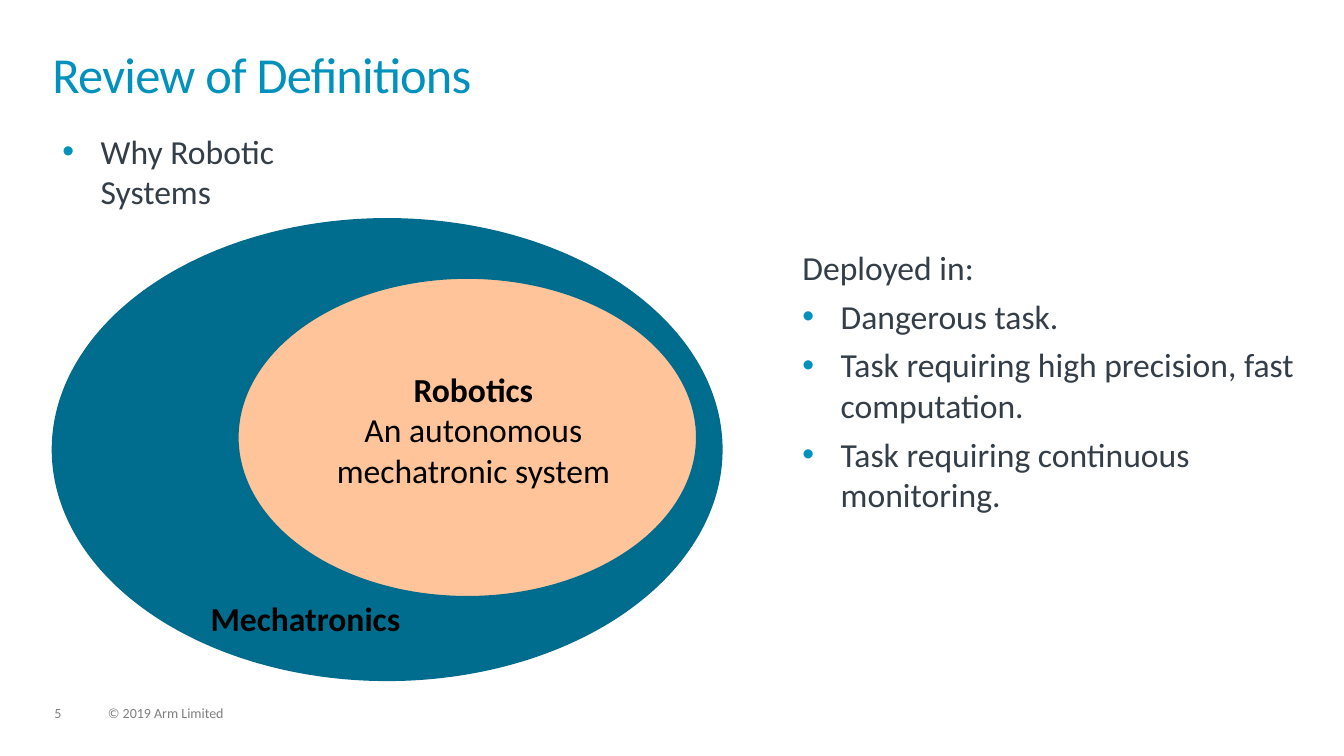
from lxml.etree import SubElement
from pptx import Presentation
from pptx.dml.color import RGBColor
from pptx.enum.shapes import MSO_SHAPE as Preset
from pptx.enum.text import MSO_ANCHOR as Anchor, PP_ALIGN as Align
from pptx.oxml.ns import qn
from pptx.util import Inches, Pt

COLORS = {
    "title": "0091BD", "body": "333E48", "footer": "7F7F7F", "label": "000000",
    "outer": "006D8E", "inner": "FFC499", "outline": "006B8C",
}


def color(name):
    return RGBColor.from_string(COLORS[name])


def add_bullet(paragraph):
    props = paragraph._p.get_or_add_pPr()
    props.set("marL", str(Inches(0.38)))
    props.set("indent", str(-Inches(0.38)))
    tint = SubElement(props, qn("a:buClr"))
    SubElement(tint, qn("a:srgbClr"), val=COLORS["title"])
    SubElement(props, qn("a:buFont"), typeface="Arial")
    SubElement(props, qn("a:buChar"), char="•")


def add_text(slide, box, lines, size, tone, inset=True, bullets_from=None,
             align=Align.LEFT, bold_first=False, before=0, spacing=None):
    frame = slide.shapes.add_textbox(*map(Inches, box)).text_frame
    frame.word_wrap = True
    frame.vertical_anchor = Anchor.TOP
    if not inset:
        frame.margin_left = frame.margin_right = 0
        frame.margin_top = frame.margin_bottom = 0
    frame.text = "\n".join(lines)
    for index, paragraph in enumerate(frame.paragraphs):
        if bullets_from is not None and index >= bullets_from:
            add_bullet(paragraph)
        paragraph.alignment = align
        if index and before:
            paragraph.space_before = Pt(before)
        if spacing:
            paragraph.line_spacing = spacing
        for run in paragraph.runs:
            run.font.name = "Calibri"
            run.font.size = Pt(size)
            run.font.bold = bold_first and index == 0
            run.font.color.rgb = color(tone)
    return frame


def add_ellipse(slide, box, fill):
    ellipse = slide.shapes.add_shape(Preset.OVAL, *map(Inches, box))
    ellipse.shadow.inherit = False
    ellipse.fill.solid()
    ellipse.fill.fore_color.rgb = color(fill)
    ellipse.line.color.rgb = color("outline")
    ellipse.line.width = Pt(1)


def add_footer(slide, left, top):
    for offset, width, text in ((0, 0.34, "5"), (0.53, 1.71, "© 2019 Arm Limited")):
        add_text(slide, (left + offset, top, width, 0.15), [text], 10, "footer",
                 inset=False, spacing=0.9)


def add_title(slide, box):
    title = add_text(slide, box, ["Review of Definitions"], 36, "title",
                     inset=False, spacing=0.85)
    title.paragraphs[0].runs[0].font._element.set("spc", "-50")


def add_venn(slide, left, top, width, height):
    add_ellipse(slide, (left, top, width, height), "outer")
    add_ellipse(slide, (left + 1.84, top + 0.59, 4.55, 3.16), "inner")
    add_text(slide, (left + 2.53, top + 1.44, 3.29, 1.31),
             ["Robotics", "An autonomous mechatronic system"], 24, "label",
             align=Align.CENTER, bold_first=True)
    add_text(slide, (left + 1.47, top + 3.71, 3.08, 0.5), ["Mechatronics"], 24,
             "label", bold_first=True)


def add_uses(slide, box):
    uses = [
        "Deployed in:",
        "Dangerous task.",
        "Task requiring high precision, fast computation.",
        "Task requiring continuous monitoring.",
    ]
    add_text(slide, box, uses, 24, "body", bullets_from=1, before=6)


def main():
    deck = Presentation()
    deck.slide_width, deck.slide_height = Inches(13.33), Inches(7.5)
    slide = deck.slides.add_slide(deck.slide_layouts[6])
    add_footer(slide, 0.54, 7.01)
    add_title(slide, (0.52, 0.52, 12.28, 0.72))
    add_venn(slide, 0.52, 2.17, 6.64, 4.58)
    add_uses(slide, (7.86, 2.4, 5.45, 2.78))
    add_text(slide, (0.52, 1.25, 3.12, 0.9), ["Why Robotic Systems"], 24, "body",
             bullets_from=0)
    deck.save("out.pptx")


if __name__ == "__main__":
    main()
